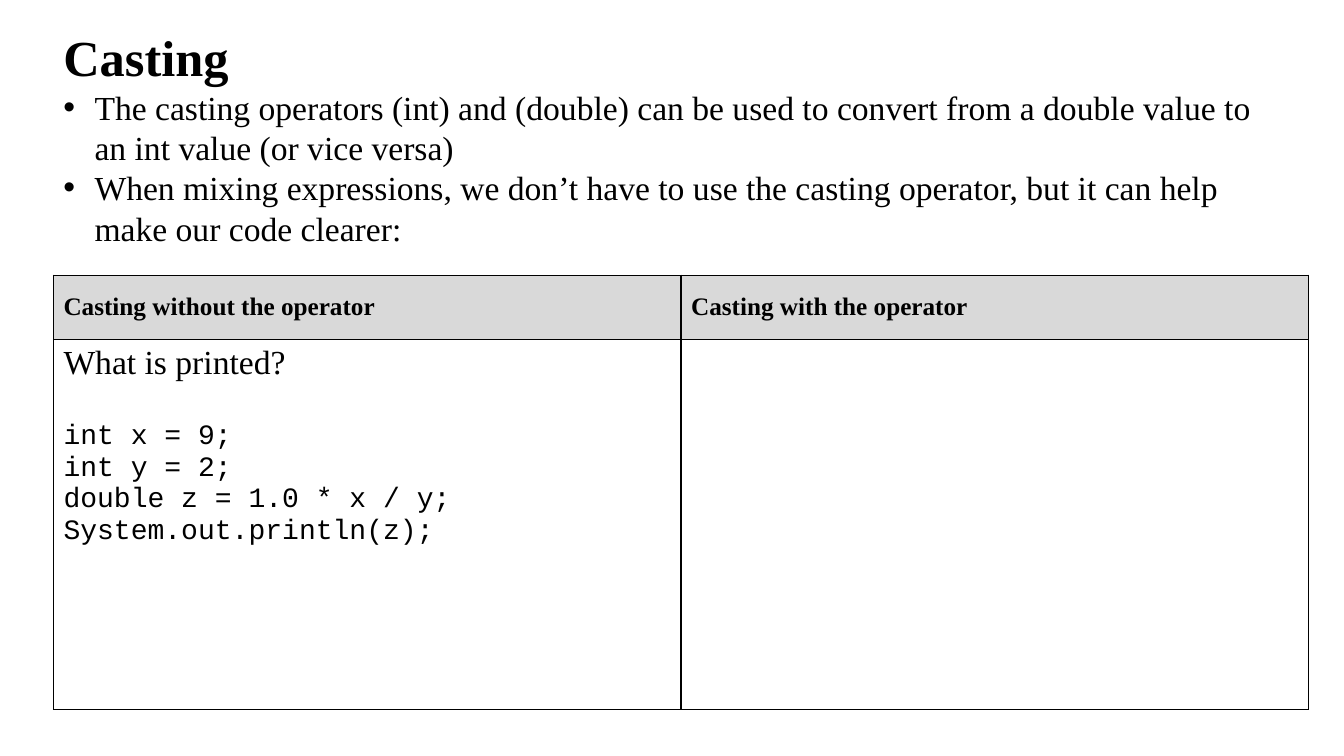
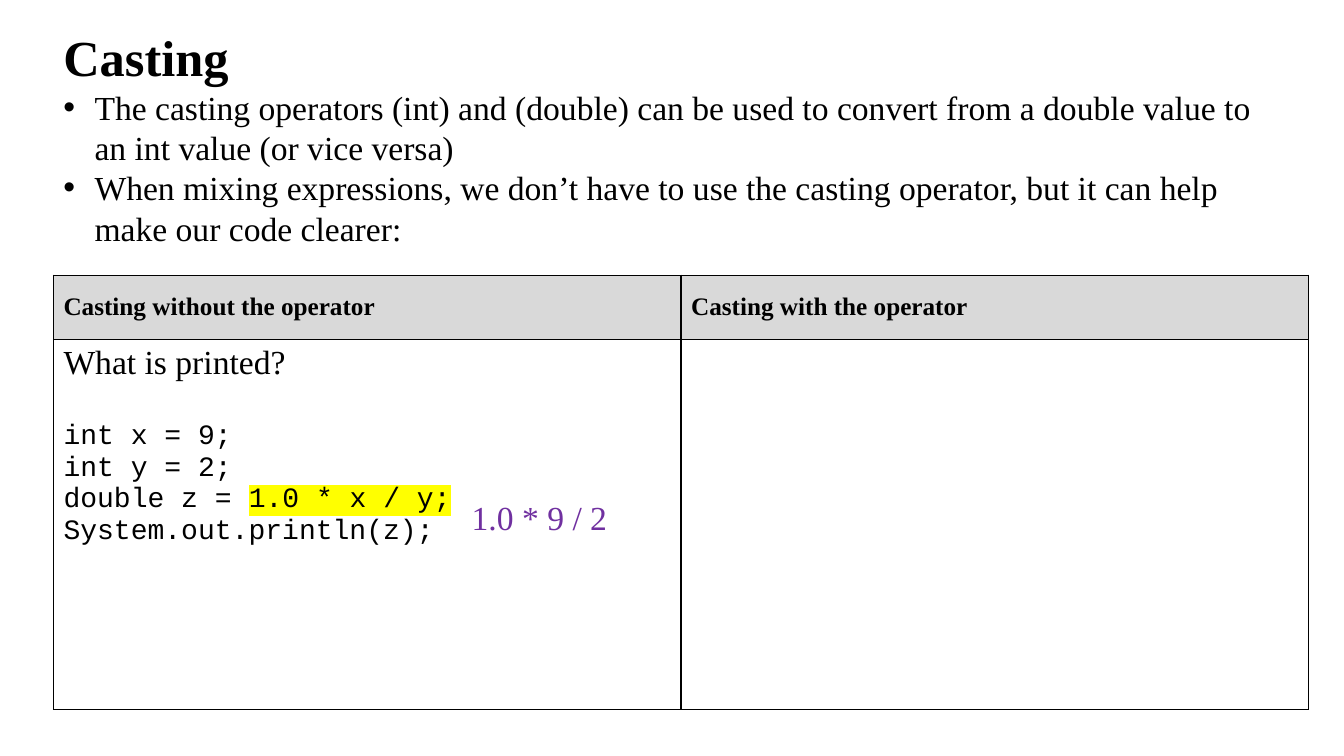
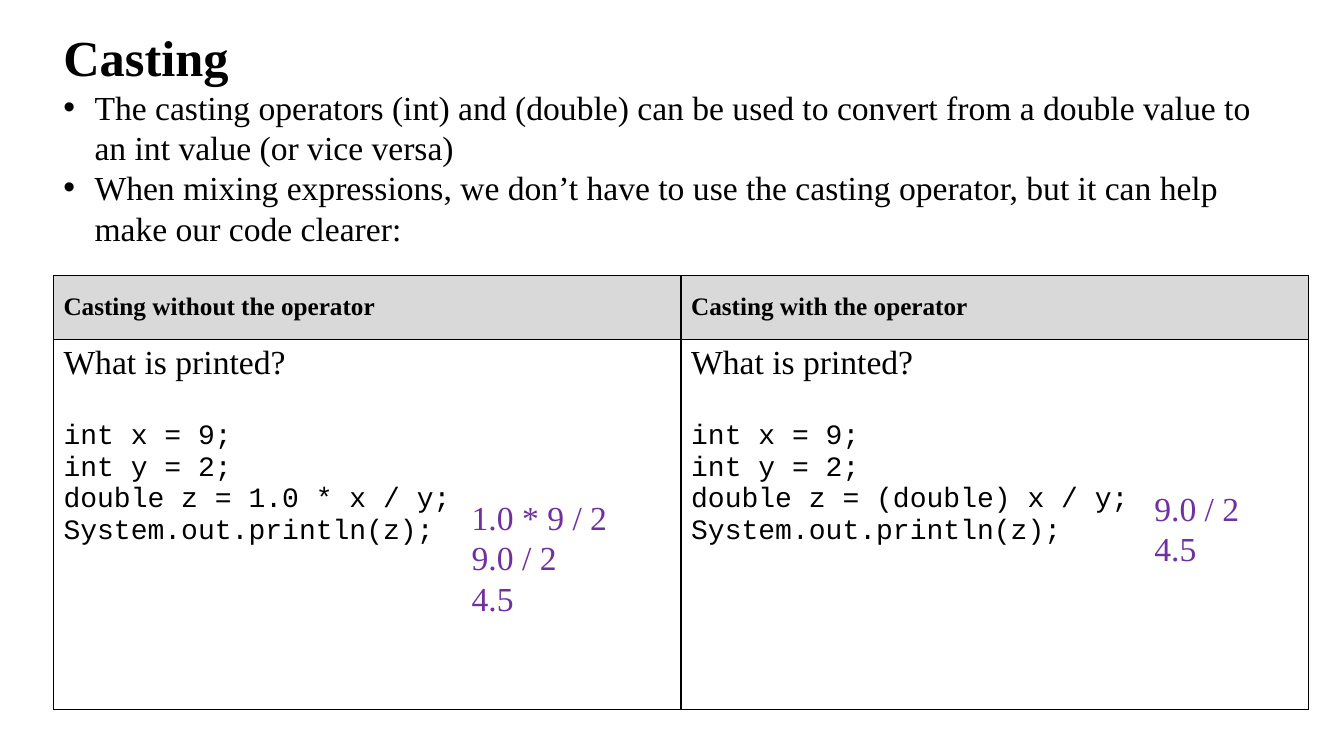
"""Builds three slides that step through casting in Java."""
from lxml import etree
from pptx import Presentation
from pptx.dml.color import RGBColor
from pptx.enum import shapes, text
from pptx.oxml import ns
from pptx.util import Inches, Pt

BLACK = RGBColor(0x00, 0x00, 0x00)
WHITE = RGBColor(0xFF, 0xFF, 0xFF)
GREY = RGBColor(0xD9, 0xD9, 0xD9)
PURPLE = RGBColor(0x70, 0x30, 0xA0)
YELLOW = RGBColor(0xFF, 0xFF, 0x00)
SERIF = "Times New Roman"
MONO = "Courier New"

LEFT = 0.53
WIDTH = 12.45
ROWS = (0.64, 3.67)
INDENT = 0.31
TITLE = "Casting"
POINTS = (
    "The casting operators (int) and (double) can be used to convert "
    "from a double value to an int value (or vice versa)",
    "When mixing expressions, we don’t have to use the casting operator, "
    "but it can help make our code clearer:",
)
HEADS = ("Casting without the operator", "Casting with the operator")
PLAIN = "1.0 * x / y;"
CAST = "(double) x / y;"
STEPS = ("1.0 * 9 / 2", "9.0 / 2", "4.5")


def sub(node, tag, **attrs):
    return etree.SubElement(node, ns.qn(tag), **attrs)


def style(para, size, color=BLACK, face=SERIF, bold=False):
    font = para.font
    font.name, font.size, font.bold = face, Pt(size), bold
    font.color.rgb = color


def add_para(frame, first):
    return frame.paragraphs[0] if first else frame.add_paragraph()


def set_bullet(para):
    props = para._p.get_or_add_pPr()
    props.set("marL", str(Inches(INDENT)))
    props.set("indent", str(-Inches(INDENT)))
    sub(props, "a:buFont", typeface="Arial")
    sub(props, "a:buChar", char="•")


def set_edges(cell):
    props = cell._tc.get_or_add_tcPr()
    for i, side in enumerate(("a:lnL", "a:lnR", "a:lnT", "a:lnB")):
        line = etree.Element(ns.qn(side), w=str(Pt(1)))
        sub(sub(line, "a:solidFill"), "a:srgbClr", val=str(BLACK))
        props.insert(i, line)


def mark(run):
    props = run._r.get_or_add_rPr()
    sub(sub(props, "a:highlight"), "a:srgbClr", val=str(YELLOW))


def add_box(slide, left, top, width, height):
    box = slide.shapes.add_textbox(
        Inches(left), Inches(top), Inches(width), Inches(height))
    return box


def set_frame(box):
    frame = box.text_frame
    frame.word_wrap = True
    frame.auto_size = text.MSO_AUTO_SIZE.SHAPE_TO_FIT_TEXT
    frame.vertical_anchor = text.MSO_ANCHOR.TOP
    return frame


def add_intro(slide):
    frame = set_frame(add_box(slide, LEFT, 0.21, 12.07, 2.39))
    para = frame.paragraphs[0]
    para.text = TITLE
    style(para, 36, bold=True)
    for point in POINTS:
        para = frame.add_paragraph()
        para.text = point
        set_bullet(para)
        style(para, 24)


def add_code(cell, value, lit):
    frame = cell.text_frame
    para = frame.paragraphs[0]
    para.text = "What is printed?"
    para.space_after = Pt(28)
    style(para, 24)
    lines = (("int x = 9;",), ("int y = 2;",),
             ("double z = ", value), ("System.out.println(z);",))
    for parts in lines:
        para = frame.add_paragraph()
        for part in parts:
            run = para.add_run()
            run.text = part
            if lit and part == value:
                mark(run)
        style(para, 20, face=MONO)


def add_grid(slide, values, lit):
    table = slide.shapes.add_table(
        2, 2, Inches(LEFT), Inches(2.73),
        Inches(WIDTH), Inches(sum(ROWS))).table
    table.first_row = table.horz_banding = False
    for row, height in zip(table.rows, ROWS):
        row.height = Inches(height)
    for cell in table.iter_cells():
        cell.fill.background()
        set_edges(cell)
    for col, head in enumerate(HEADS):
        cell = table.cell(0, col)
        cell.text = head
        cell.vertical_anchor = text.MSO_ANCHOR.MIDDLE
        cell.fill.solid()
        cell.fill.fore_color.rgb = GREY
        style(cell.text_frame.paragraphs[0], 18, bold=True)
    for col, value in enumerate(values):
        add_code(table.cell(1, col), value, lit)


def add_steps(box, steps):
    frame = set_frame(box)
    for i, step in enumerate(steps):
        para = add_para(frame, i == 0)
        para.text = step
        para.alignment = text.PP_ALIGN.LEFT
        style(para, 24, PURPLE)


def add_panel(slide, left, top, width, height):
    panel = slide.shapes.add_shape(
        shapes.MSO_SHAPE.RECTANGLE, Inches(left), Inches(top),
        Inches(width), Inches(height))
    panel.shadow.inherit = False
    panel.fill.solid()
    panel.fill.fore_color.rgb = WHITE
    panel.line.fill.background()
    return panel


def add_slide(deck, values, lit=False):
    slide = deck.slides.add_slide(deck.slide_layouts[6])
    add_intro(slide)
    add_grid(slide, values, lit)
    return slide


def main():
    deck = Presentation()
    deck.slide_width, deck.slide_height = Inches(13.33), Inches(7.5)
    add_slide(deck, [PLAIN])
    slide = add_slide(deck, [PLAIN], lit=True)
    add_steps(add_box(slide, 4.58, 4.88, 1.94, 0.5), STEPS[:1])
    slide = add_slide(deck, [PLAIN, CAST])
    add_steps(add_box(slide, 4.58, 4.88, 1.94, 1.31), STEPS)
    add_steps(add_panel(slide, 11.35, 4.79, 1.45, 0.91), STEPS[1:])
    deck.save("out.pptx")


if __name__ == "__main__":
    main()
